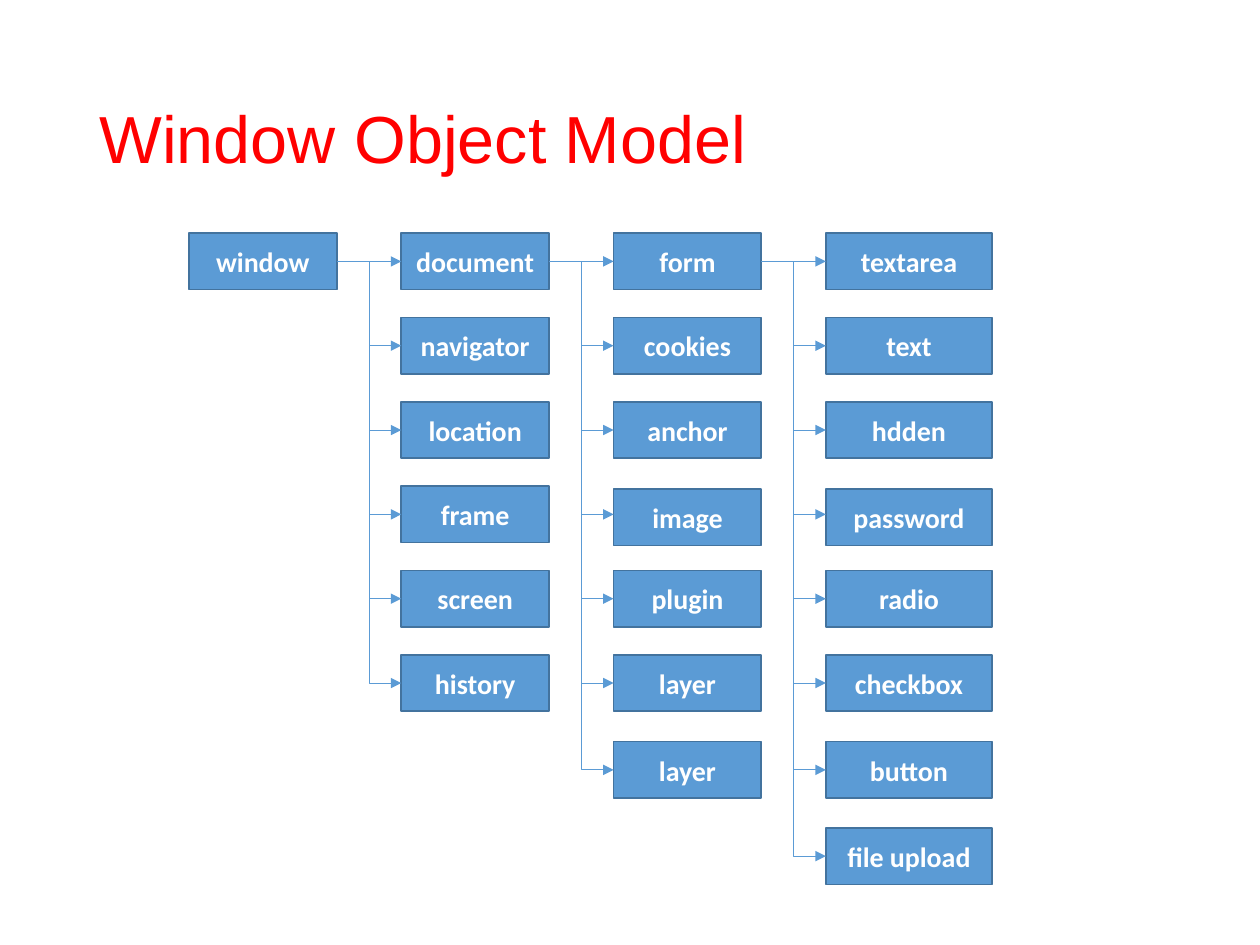
import pptx
import pptx.dml.color
import pptx.enum.shapes
import pptx.enum.text
import pptx.oxml
import pptx.util
import lxml.etree

Cm, Pt = pptx.util.Cm, pptx.util.Pt
ALIGN = pptx.enum.text.PP_ALIGN
ANCHOR = pptx.enum.text.MSO_ANCHOR
CONNECTOR = pptx.enum.shapes.MSO_CONNECTOR

TITLE = "Window Object Model"
# Each column holds the properties of the first object of the column before it.
COLUMNS = [
    ["window"],
    ["document", "navigator", "location", "frame", "screen", "history"],
    ["form", "cookies", "anchor", "image", "plugin", "layer", "layer"],
    ["textarea", "text", "hdden", "password", "radio", "checkbox", "button",
     "file upload"],
]
COLORS = {"title": "FF0000", "box": "5B9BD5", "border": "43739E",
          "label": "FFFFFF", "arrow": "5B9BD5"}
TITLE_FONT = {"name": "Arial", "size": Pt(38), "bold": False}
LABEL_FONT = {"name": "Calibri", "size": Pt(16), "bold": True}

LEFT, COLUMN_STEP = 3.81, 4.28
ROW_TOPS = [4.7, 6.4, 8.1, 9.8, 11.5, 13.2, 14.95, 16.69]
LOWERED = {"image": 0.06, "password": 0.06}
BOX_WIDTHS = [2.98, 2.98, 2.98, 3.35]
BOX_HEIGHT = 1.14


def color(name):
    return pptx.dml.color.RGBColor.from_string(COLORS[name])


def write(shape, text, font, color_name, align):
    frame = shape.text_frame
    frame.word_wrap = True
    frame.auto_size = pptx.enum.text.MSO_AUTO_SIZE.NONE
    frame.vertical_anchor = ANCHOR.MIDDLE
    para = frame.paragraphs[0]
    para.alignment = align
    span = para.add_run()
    span.text = text
    for key, value in font.items():
        setattr(span.font, key, value)
    span.font.color.rgb = color(color_name)
    return para


def add_title(page):
    title = page.shapes.title
    place = {"left": 1.75, "top": 1.02, "width": 21.89, "height": 3.68}
    for key, value in place.items():
        setattr(title, key, Cm(value))
    para = write(title, TITLE, TITLE_FONT, "title", ALIGN.LEFT)
    para.line_spacing = 0.9


def add_box(page, text, left, top, width):
    box = page.shapes.add_shape(
        pptx.enum.shapes.MSO_SHAPE.RECTANGLE,
        Cm(left), Cm(top), Cm(width), Cm(BOX_HEIGHT))
    box.shadow.inherit = False
    box.fill.solid()
    box.fill.fore_color.rgb = color("box")
    box.line.color.rgb = color("border")
    box.line.width = Pt(1)
    write(box, text, LABEL_FONT, "label", ALIGN.CENTER)


def add_arrow(page, start_x, start_y, end_x, end_y):
    kind = CONNECTOR.STRAIGHT if start_y == end_y else CONNECTOR.ELBOW
    arrow = page.shapes.add_connector(
        kind, Cm(start_x), Cm(start_y), Cm(end_x), Cm(end_y))
    arrow.line.color.rgb = color("arrow")
    arrow.line.width = Pt(0.5)
    qn = pptx.oxml.ns.qn
    properties = arrow._element.spPr
    lxml.etree.SubElement(properties.find(qn("a:ln")), qn("a:tailEnd"),
                          type="triangle")
    lxml.etree.SubElement(properties, qn("a:effectLst"))


def add_column(page, index):
    left = LEFT + index * COLUMN_STEP
    parent_right = left - COLUMN_STEP + BOX_WIDTHS[index - 1]
    middle = BOX_HEIGHT / 2
    for label, top in zip(COLUMNS[index], ROW_TOPS):
        add_box(page, label, left, top + LOWERED.get(label, 0),
                BOX_WIDTHS[index])
        if index > 0:
            add_arrow(page, parent_right, ROW_TOPS[0] + middle,
                      left, top + middle)


def main():
    deck = pptx.Presentation()
    deck.slide_width, deck.slide_height = Cm(25.4), Cm(19.05)
    page = deck.slides.add_slide(deck.slide_layouts.get_by_name("Title Only"))
    add_title(page)
    for index in range(len(COLUMNS)):
        add_column(page, index)
    deck.save("out.pptx")


if __name__ == "__main__":
    main()
